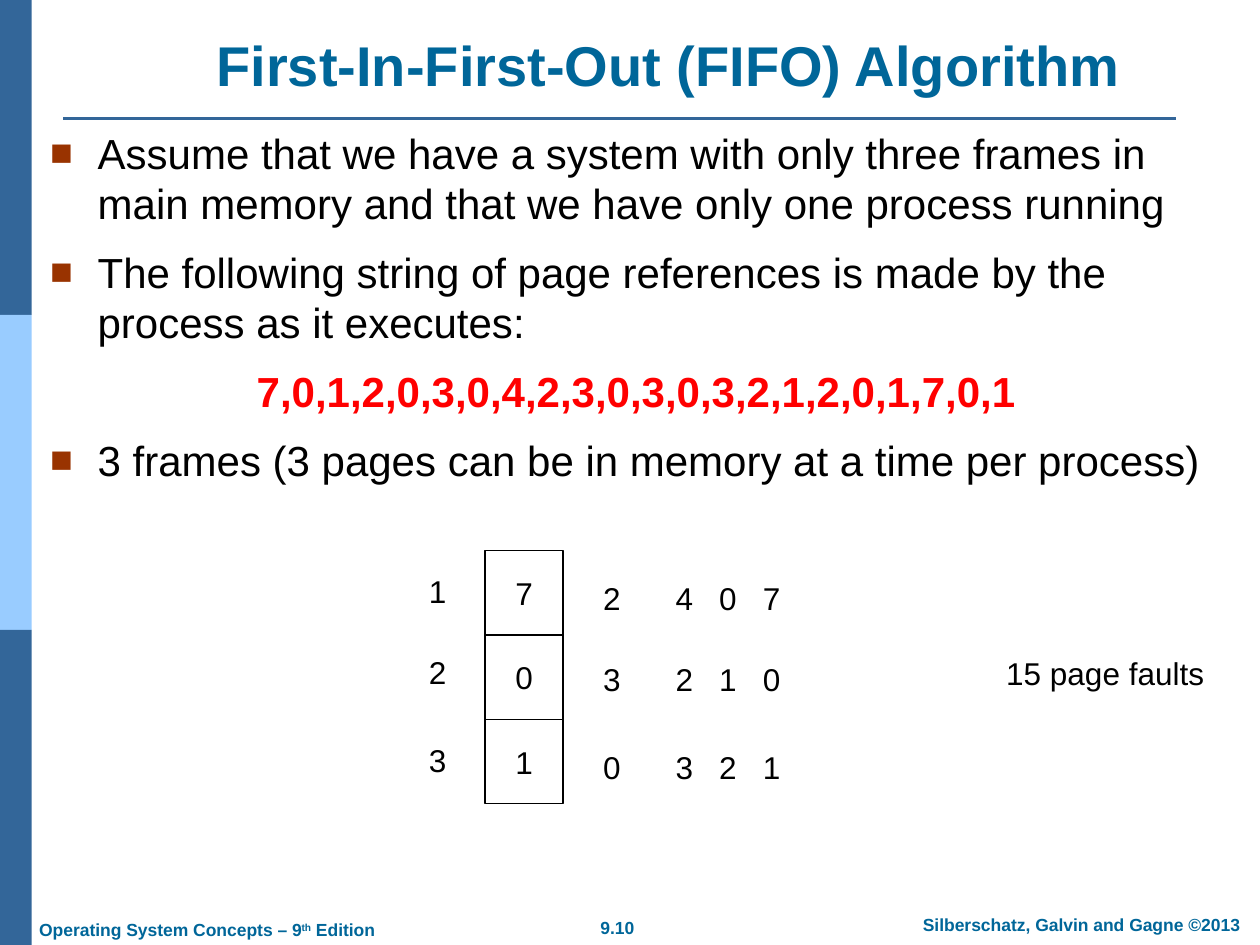
from dataclasses import dataclass

from lxml import etree
from pptx import Presentation
from pptx.dml.color import RGBColor
from pptx.enum.shapes import MSO_CONNECTOR, MSO_SHAPE
from pptx.enum.text import MSO_ANCHOR, PP_ALIGN
from pptx.oxml.ns import qn
from pptx.util import Cm, Pt

LEFT, CENTER = PP_ALIGN.LEFT, PP_ALIGN.CENTER
TOP, MIDDLE, BOTTOM = MSO_ANCHOR.TOP, MSO_ANCHOR.MIDDLE, MSO_ANCHOR.BOTTOM
RECTANGLE, STRAIGHT = MSO_SHAPE.RECTANGLE, MSO_CONNECTOR.STRAIGHT

FONT = "Arial"
BLACK = RGBColor(0x00, 0x00, 0x00)
WHITE = RGBColor(0xFF, 0xFF, 0xFF)
RED = RGBColor(0xFF, 0x00, 0x00)
TEAL = RGBColor(0x00, 0x66, 0x99)
DARK_BLUE = RGBColor(0x33, 0x66, 0x99)
LIGHT_BLUE = RGBColor(0x99, 0xCC, 0xFF)
BULLET_COLOR = RGBColor(0x99, 0x33, 0x00)


@dataclass(frozen=True)
class Box:
    left: float
    top: float
    width: float
    height: float

    def lengths(self) -> tuple:
        return Cm(self.left), Cm(self.top), Cm(self.width), Cm(self.height)


@dataclass(frozen=True)
class Style:
    size: int
    color: RGBColor = BLACK
    bold: bool = False


@dataclass(frozen=True)
class BodyItem:
    text: str
    style: Style
    bulleted: bool = True


@dataclass(frozen=True)
class FrameRow:
    number: str
    page: str
    replacement: str
    later_pages: str
    label_top: float


TITLE = Style(32, TEAL, True)
FOOTER = Style(10, TEAL, True)
BODY = Style(24)
REFERENCES = Style(24, RED, True)
DIAGRAM = Style(18)

BODY_ITEMS = [
    BodyItem("Assume that we have a system with only three frames in main memory "
             "and that we have only one process running", BODY),
    BodyItem("The following string of page references is made by the process "
             "as it executes:", BODY),
    BodyItem("7,0,1,2,0,3,0,4,2,3,0,3,0,3,2,1,2,0,1,7,0,1", REFERENCES, False),
    BodyItem("3 frames (3 pages can be in memory at a time per process)", BODY),
]
FRAME_ROWS = [
    FrameRow("1", "7", "2", "4\t0\t7", 11.35),
    FrameRow("2", "0", "3", "2\t1\t0", 12.98),
    FrameRow("3", "1", "0", "3\t2\t1", 14.76),
]
FRAME_LEFT, FRAME_TOP, FRAME_WIDTH, FRAME_HEIGHT = 9.78, 11.1, 1.57, 1.7
LABEL_WIDTH, LABEL_HEIGHT = 1.09, 1.12
PAGE_DROP = 0.14
PAGE_PITCH = 0.88


def add_run(paragraph, text: str, style: Style):
    run = paragraph.add_run()
    run.text = text
    run.font.name = FONT
    run.font.size = Pt(style.size)
    run.font.bold = style.bold
    run.font.color.rgb = style.color
    return run


def set_frame(shape, anchor=MIDDLE, wrap: bool = False, side: float = 0.25):
    """Set insets, anchor and wrapping; return the first paragraph."""
    frame = shape.text_frame
    frame.word_wrap = wrap
    frame.vertical_anchor = anchor
    frame.margin_left = frame.margin_right = Cm(side)
    frame.margin_top = frame.margin_bottom = Cm(side / 2)
    return frame.paragraphs[0]


def add_text(slide, box: Box, text: str, style: Style, align=CENTER,
             anchor=MIDDLE, wrap: bool = False, side: float = 0.25):
    shape = slide.shapes.add_textbox(*box.lengths())
    paragraph = set_frame(shape, anchor, wrap, side)
    paragraph.alignment = align
    add_run(paragraph, text, style)
    return paragraph


def add_rectangle(slide, box: Box, fill: RGBColor):
    shape = slide.shapes.add_shape(RECTANGLE, *box.lengths())
    shape.shadow.inherit = False
    shape.fill.solid()
    shape.fill.fore_color.rgb = fill
    shape.line.fill.background()
    return shape


def add_bullet(paragraph) -> None:
    properties = paragraph._p.get_or_add_pPr()
    properties.set("marL", str(Cm(0.96)))
    properties.set("indent", str(-Cm(0.96)))
    color = etree.SubElement(properties, qn("a:buClr"))
    etree.SubElement(color, qn("a:srgbClr"), val=str(BULLET_COLOR))
    etree.SubElement(properties, qn("a:buSzPct"), val="90000")
    etree.SubElement(properties, qn("a:buFont"), typeface=FONT)
    etree.SubElement(properties, qn("a:buChar"), char="■")


def add_page_tabs(paragraph, count: int) -> None:
    tabs = etree.SubElement(paragraph._p.get_or_add_pPr(), qn("a:tabLst"))
    for index in range(1, count + 1):
        etree.SubElement(tabs, qn("a:tab"), pos=str(Cm(PAGE_PITCH * index)), algn="l")


def add_body(slide) -> None:
    shape = slide.shapes.add_textbox(*Box(0.76, 2.44, 23.9, 16).lengths())
    paragraph = set_frame(shape, TOP, True)
    for index, item in enumerate(BODY_ITEMS):
        if index:
            paragraph = shape.text_frame.add_paragraph()
            paragraph.space_before = Pt(10.5)
        if item.bulleted:
            add_bullet(paragraph)
        else:
            paragraph.alignment = CENTER
            paragraph._p.get_or_add_pPr().set("marL", str(Cm(0.23)))
        add_run(paragraph, item.text, item.style)


def add_frame_row(slide, index: int, row: FrameRow) -> None:
    cell = add_rectangle(slide, Box(FRAME_LEFT, FRAME_TOP + index * FRAME_HEIGHT,
                                    FRAME_WIDTH, FRAME_HEIGHT), WHITE)
    cell.line.color.rgb = BLACK
    cell.line.width = Pt(0.75)
    paragraph = set_frame(cell, side=0.36)
    paragraph.alignment = CENTER
    add_run(paragraph, row.page, DIAGRAM)

    page_top = row.label_top + PAGE_DROP
    add_text(slide, Box(8.28, row.label_top, LABEL_WIDTH, LABEL_HEIGHT),
             row.number, DIAGRAM, side=0.36)
    add_text(slide, Box(11.79, page_top, LABEL_WIDTH, LABEL_HEIGHT),
             row.replacement, DIAGRAM, side=0.36)
    later = add_text(slide, Box(13.26, page_top, 6, LABEL_HEIGHT),
                     row.later_pages, DIAGRAM, LEFT, wrap=True, side=0.36)
    add_page_tabs(later, row.later_pages.count("\t"))


def main() -> None:
    presentation = Presentation()
    presentation.slide_width, presentation.slide_height = Cm(25.4), Cm(19.05)
    slide = presentation.slides.add_slide(presentation.slide_layouts[6])

    # Side bands and title rule
    for index, color in enumerate((DARK_BLUE, LIGHT_BLUE, DARK_BLUE)):
        add_rectangle(slide, Box(0, index * 6.35, 0.64, 6.35), color)
    rule = slide.shapes.add_connector(STRAIGHT, Cm(1.27), Cm(2.39), Cm(23.7), Cm(2.39))
    rule.line.color.rgb = DARK_BLUE
    rule.line.width = Pt(1.5)
    etree.SubElement(rule._element.spPr, qn("a:effectLst"))

    # Footer
    add_text(slide, Box(11.2, 18.36, 2.49, 0.69), "9.10", FOOTER)
    add_text(slide, Box(18.03, 18.29, 7.54, 0.69),
             "Silberschatz, Galvin and Gagne ©2013", FOOTER, wrap=True)
    edition = add_text(slide, Box(0.54, 18.39, 8.5, 0.69),
                       "Operating System Concepts – 9", FOOTER, LEFT, wrap=True)
    ordinal = add_run(edition, "th", FOOTER)
    ordinal.font._element.set("baseline", "30000")
    add_run(edition, " Edition", FOOTER)

    # Title and body
    add_text(slide, Box(2.62, 0.5, 21.72, 1.6), "First-In-First-Out (FIFO) Algorithm",
             TITLE, anchor=BOTTOM, wrap=True)
    add_body(slide)

    # Memory frames and the pages that pass through them
    for index, row in enumerate(FRAME_ROWS):
        add_frame_row(slide, index, row)
    add_text(slide, Box(19.92, 13, 4.72, LABEL_HEIGHT), "15 page faults", DIAGRAM, side=0.36)

    presentation.save("out.pptx")


if __name__ == "__main__":
    main()
